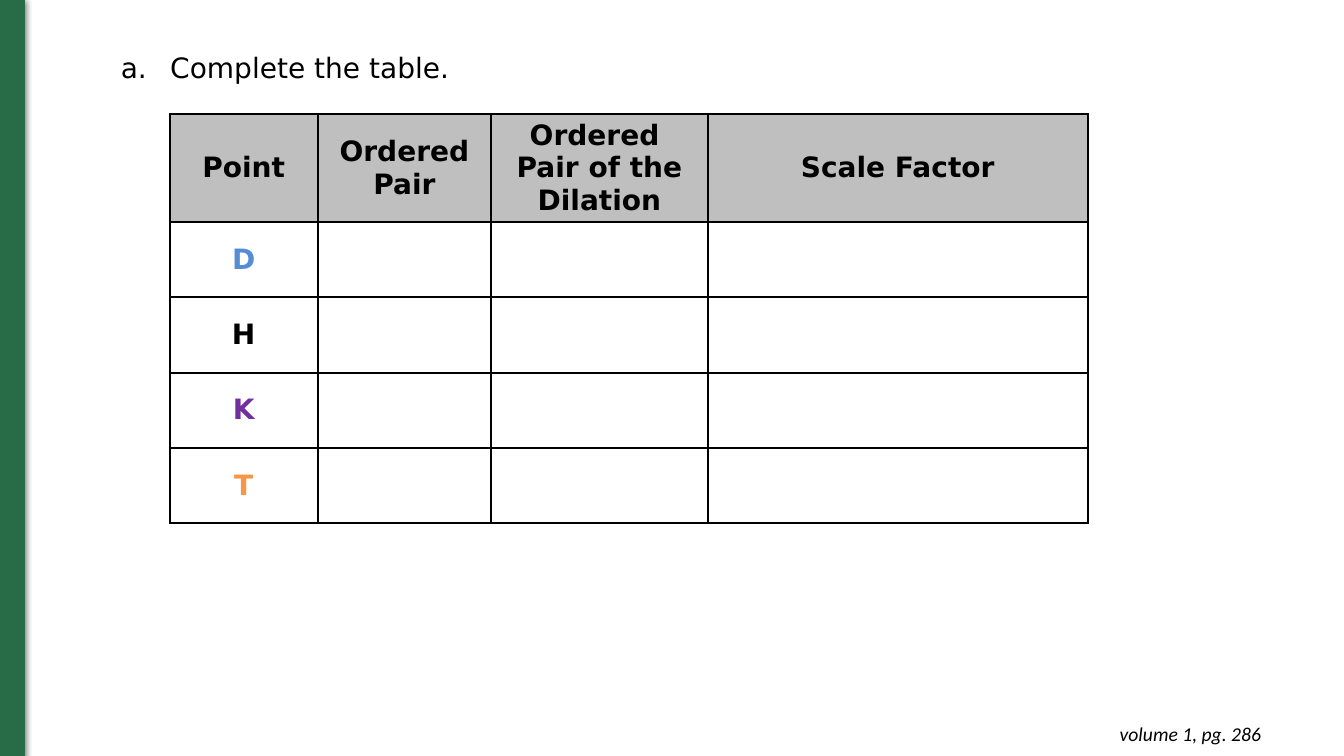
from lxml import etree
from pptx import Presentation, oxml
from pptx import util as u
from pptx.dml.color import RGBColor
from pptx.enum import shapes, text
from pptx.oxml.ns import qn

BLACK = RGBColor(0x00, 0x00, 0x00)
GREEN = RGBColor(0x27, 0x6C, 0x46)
GRAY = RGBColor(0xBF, 0xBF, 0xBF)
BLUE = RGBColor(0x54, 0x8D, 0xD4)
PURPLE = RGBColor(0x70, 0x30, 0xA0)
ORANGE = RGBColor(0xF7, 0x96, 0x46)

NAMESPACE = 'xmlns:a="http://schemas.openxmlformats.org/drawingml/2006/main"'
SOLID_BLACK = f'<a:solidFill><a:srgbClr val="{BLACK}"/></a:solidFill>'


class SlideBuilder:
    """Holds the text styles and the slide being built."""

    body = {"name": "DejaVu Sans", "size": u.Pt(20)}
    bold = {**body, "bold": True}
    footer = {"name": "Calibri", "size": u.Pt(14), "italic": True}

    def __init__(self, slide):
        self.slide = slide

    def add_wording(self, paragraph, wording, style, color=BLACK,
                    align=text.PP_ALIGN.LEFT):
        paragraph.alignment = align
        for index, line in enumerate(wording.split("\n")):
            if index:
                paragraph.add_line_break()
            run = paragraph.add_run()
            run.text = line
            for key, value in style.items():
                setattr(run.font, key, value)
            run.font.color.rgb = color

    def bar(self, left, top, width, height, color):
        shape = self.slide.shapes.add_shape(
            shapes.MSO_SHAPE.RECTANGLE, *map(u.Pt, (left, top, width, height)))
        shape.fill.solid()
        shape.fill.fore_color.rgb = color
        shape.line.color.rgb = color
        shape.line.width = u.Pt(0.75)
        shape.shadow.inherit = False
        effects = shape._element.spPr.find(qn("a:effectLst"))
        effects.append(oxml.parse_xml(
            f'<a:outerShdw {NAMESPACE} blurRad="{u.Pt(4.5)}" dist="{u.Pt(1.5)}" '
            f'dir="5400000" rotWithShape="0"><a:srgbClr val="{BLACK}">'
            '<a:alpha val="50000"/></a:srgbClr></a:outerShdw>'))

    def text_box(self, left, top, width, height, wording, style,
                 align=text.PP_ALIGN.LEFT, margin=3.6, lettered=False):
        box = self.slide.shapes.add_textbox(*map(u.Pt, (left, top, width, height)))
        frame = box.text_frame
        frame.word_wrap = True
        frame.margin_top = frame.margin_bottom = u.Pt(margin)
        paragraph = frame.paragraphs[0]
        if lettered:
            properties = paragraph._p.get_or_add_pPr()
            properties.set("marL", str(u.Pt(72)))
            properties.set("indent", str(u.Pt(-35.3)))
            color = etree.SubElement(properties, qn("a:buClr"))
            etree.SubElement(color, qn("a:srgbClr"), val=str(BLACK))
            etree.SubElement(properties, qn("a:buAutoNum"), type="alphaLcPeriod")
        self.add_wording(paragraph, wording, style, align=align)

    def cell(self, cell, wording="", color=BLACK, fill=None):
        cell.margin_left = cell.margin_right = u.Pt(5.4)
        cell.margin_top = cell.margin_bottom = u.Pt(3.6)
        cell.vertical_anchor = text.MSO_ANCHOR.MIDDLE
        if fill is None:
            cell.fill.background()
        else:
            cell.fill.solid()
            cell.fill.fore_color.rgb = fill
        if wording:
            self.add_wording(cell.text_frame.paragraphs[0], wording, self.bold, color,
                             text.PP_ALIGN.CENTER)
        properties = cell._tc.get_or_add_tcPr()
        for position, side in enumerate("LRTB"):
            properties.insert(position, oxml.parse_xml(
                f'<a:ln{side} {NAMESPACE} w="{u.Pt(1.5)}">{SOLID_BLACK}</a:ln{side}>'))

    def table(self, left, top, widths, heights, headings, points):
        table = self.slide.shapes.add_table(
            len(heights), len(widths),
            *map(u.Pt, (left, top, sum(widths), sum(heights)))).table
        table.first_row = table.horz_banding = False
        for column, width in zip(table.columns, widths):
            column.width = u.Pt(width)
        for row, height in zip(table.rows, heights):
            row.height = u.Pt(height)
        for index, heading in enumerate(headings):
            self.cell(table.cell(0, index), heading, fill=GRAY)
        for row, (point, color) in enumerate(points, 1):
            self.cell(table.cell(row, 0), point, color)
            for column in range(1, len(widths)):
                self.cell(table.cell(row, column))


def main():
    presentation = Presentation()
    presentation.slide_width = u.Pt(960)
    presentation.slide_height = u.Pt(540)
    builder = SlideBuilder(presentation.slides.add_slide(presentation.slide_layouts[6]))

    # Green edge
    builder.bar(0, -0.5, 17.5, 540.5, GREEN)

    # Table of points
    builder.table(
        121.2, 81.4, [105.8, 123.8, 154.8, 271.4], [77.2] + [53.8] * 4,
        ["Point", "Ordered Pair", "Ordered \nPair of the Dilation", "Scale Factor"],
        [("D", BLUE), ("H", BLACK), ("K", PURPLE), ("T", ORANGE)])

    # Page reference
    builder.text_box(700.5, 508.5, 207.5, 31.5, "volume 1, pg. 286", builder.footer,
                     align=text.PP_ALIGN.RIGHT, margin=7.2)

    # Task
    builder.text_box(42.5, 32.5, 867.5, 31.5, "Complete the table.", builder.body,
                     lettered=True)

    presentation.save("out.pptx")


if __name__ == "__main__":
    main()
